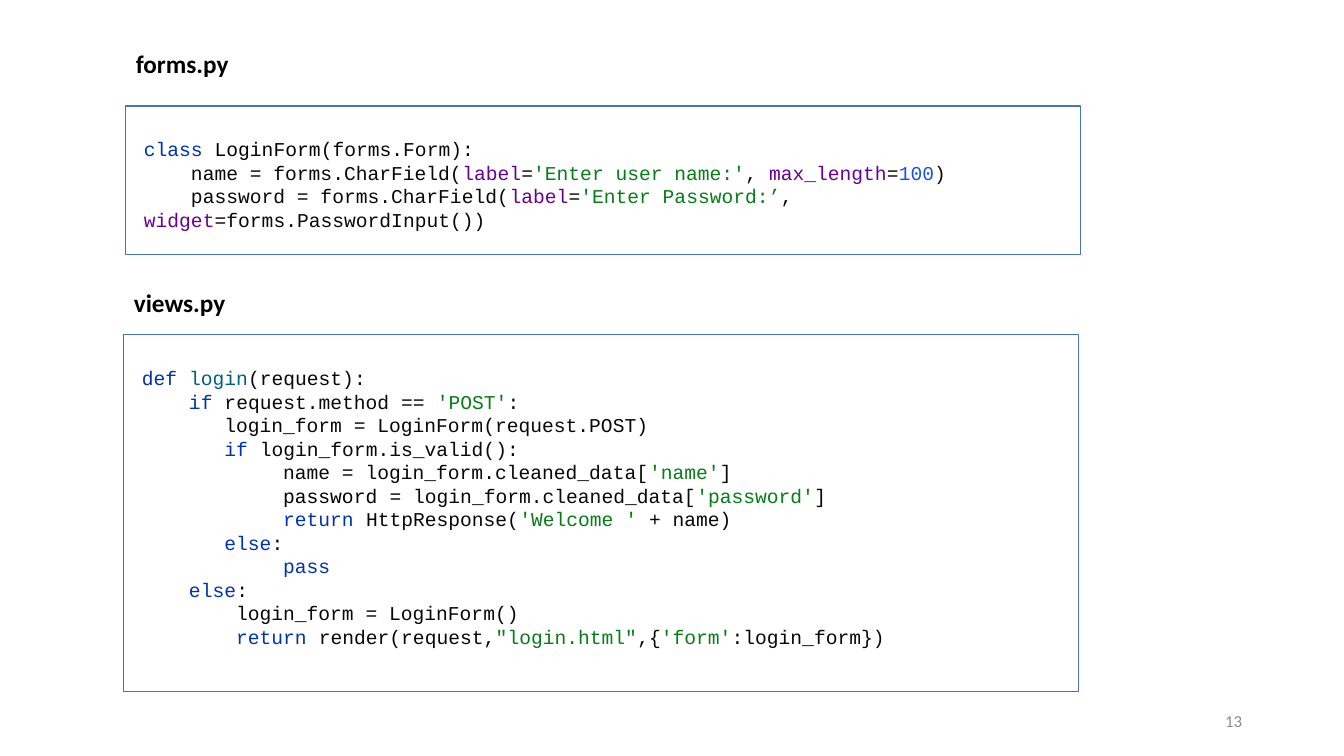
from pptx import Presentation
from pptx import util as u
from pptx.dml.color import RGBColor
from pptx.enum import shapes, text

PX = 914400 / 100.8
COLORS = {
    "frame": "4472C4", "heading": "000000", "number": "8C8C8C",
    "plain": "080808", "name": "000000", "keyword": "0033B3",
    "function": "00627A", "argument": "660099", "string": "067D17",
    "digits": "1750EB",
}


def px(*lengths):
    return [u.Emu(round(length * PX)) for length in lengths]


def add_span(para, words, color="plain", font="Courier New", size=14, bold=False):
    span = para.add_run()
    span.text = words
    span.font.name = font
    span.font.size = u.Pt(size)
    span.font.bold = bold
    span.font.color.rgb = RGBColor.from_string(COLORS[color])


# Code lines: each piece is its text and, unless plain, its colour
forms_code = [
    [("class ", "keyword"), ("LoginForm", "name"), ("(forms.Form):",)],
    [("    name = forms.CharField(",), ("label", "argument"), ("=",),
     ("'Enter user name:'", "string"), (", ",), ("max_length", "argument"),
     ("=",), ("100", "digits"), (")",)],
    [("    password = forms.CharField(",), ("label", "argument"), ("=",),
     ("'Enter Password:’", "string"), (", ",), ("widget", "argument"),
     ("=forms.PasswordInput())",)],
]
views_code = [
    [("def ", "keyword"), ("login", "function"), ("(request):",)],
    [("    if ", "keyword"), ("request.method == ",), ("'POST'", "string"), (":",)],
    [("       login_form = LoginForm(request.POST)",)],
    [("       if ", "keyword"), ("login_form.is_valid():",)],
    [("            name = login_form.cleaned_data[",), ("'name'", "string"), ("]",)],
    [("            password ", "name"), ("= login_form.cleaned_data[",),
     ("'password'", "string"), ("]",)],
    [("            return ", "keyword"), ("HttpResponse(",),
     ("'Welcome ' ", "string"), ("+ name)",)],
    [("       else", "keyword"), (":",)],
    [("            pass", "keyword")],
    [("    else", "keyword"), (":",)],
    [("        login_form = LoginForm()",)],
    [("        return ", "keyword"), ("render(request,",), ('"login.html"', "string"),
     (",{",), ("'form'", "string"), (":login_form})",)],
]

deck = Presentation()
deck.slide_width, deck.slide_height = px(1344, 756)
page = deck.slides.add_slide(deck.slide_layouts[6])

# Two files: heading, frame and code
files = [
    ("forms.py", forms_code, 126, 43, 106, 149, 82),
    ("views.py", views_code, 124, 282, 335, 357, 319),
]
for title, code, left, title_top, frame_top, frame_height, code_height in files:
    frame = page.shapes.add_shape(
        shapes.MSO_SHAPE.RECTANGLE, *px(left, frame_top, 955, frame_height))
    frame.shadow.inherit = False
    frame.fill.background()
    frame.line.color.rgb = RGBColor.from_string(COLORS["frame"])
    frame.line.width = u.Pt(0.75)

    code_box = page.shapes.add_textbox(*px(left + 8, frame_top + 26, 947, code_height))
    code_box.text_frame.word_wrap = True
    code_box.text_frame.auto_size = text.MSO_AUTO_SIZE.SHAPE_TO_FIT_TEXT
    para = code_box.text_frame.paragraphs[0]
    for index, line in enumerate(code):
        if index:
            para.add_line_break()
        for piece in line:
            add_span(para, *piece)

    title_box = page.shapes.add_textbox(*px(left, title_top, 224, 40))
    title_box.text_frame.word_wrap = True
    add_span(title_box.text_frame.paragraphs[0], title, color="heading",
             font="Calibri", size=18, bold=True)

# Page number
number_box = page.shapes.add_textbox(*px(950, 701, 302, 40))
number_box.text_frame.word_wrap = True
number_box.text_frame.vertical_anchor = text.MSO_ANCHOR.MIDDLE
para = number_box.text_frame.paragraphs[0]
para.alignment = text.PP_ALIGN.RIGHT
add_span(para, "13", color="number", font="Calibri", size=12)

deck.save("out.pptx")
